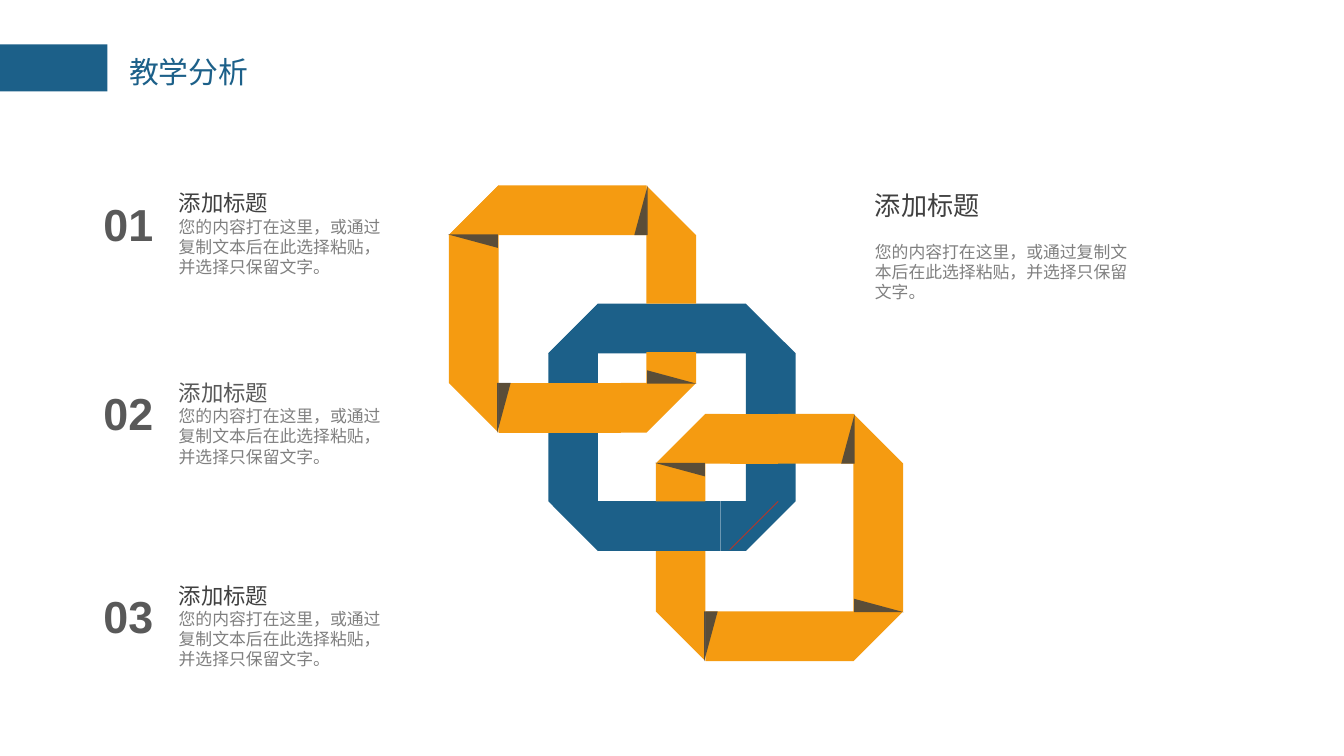
import pptx
import pptx.dml.color
import pptx.enum.shapes
import pptx.enum.text
import pptx.oxml
import pptx.oxml.ns
import pptx.util
from pptx.util import Inches

COLORS = {
    "blue": "1C6089",
    "orange": "F59B11",
    "red": "B7372A",
    "fold": "404040",
    "dark": "404040",
    "number": "595959",
    "body": "808080",
}
HEADING = "添加标题"
BODY = "您的内容打在这里，或通过复制文本后在此选择粘贴，并选择只保留文字。"
BAND, SIDE = 0.37, 1.84
FAR = SIDE - BAND
FOLD_WIDTH = 0.1


def rgb(name):
    """Return the named colour."""
    return pptx.dml.color.RGBColor.from_string(COLORS[name])


def paint(shape, color):
    """Give a shape a plain fill without line or shadow."""
    shape.shadow.inherit = False
    shape.fill.solid()
    shape.fill.fore_color.rgb = rgb(color)
    shape.line.fill.background()


def write(frame, text, size, color, font="Arial", bold=False, before=0):
    """Add one formatted paragraph to a text frame."""
    paragraph = frame.add_paragraph() if frame.text else frame.paragraphs[0]
    paragraph.alignment = pptx.enum.text.PP_ALIGN.LEFT
    if before:
        paragraph.space_before = pptx.util.Pt(before)
    run = paragraph.add_run()
    run.text = text
    run.font.size = pptx.util.Pt(size)
    run.font.name = font
    run.font.bold = bold
    run.font.color.rgb = rgb(color)


def set_frame(frame, inset, wrap):
    """Set the insets, wrapping and anchor of a text frame."""
    frame.auto_size = pptx.enum.text.MSO_AUTO_SIZE.NONE
    frame.word_wrap = wrap
    frame.vertical_anchor = pptx.enum.text.MSO_ANCHOR.TOP
    frame.margin_left = frame.margin_right = Inches(inset)
    frame.margin_top = frame.margin_bottom = Inches(0.03)


def add_frame(slide, left, top, width, height, wrap=True):
    """Add a text box and return its frame."""
    box = slide.shapes.add_textbox(Inches(left), Inches(top), Inches(width), Inches(height))
    set_frame(box.text_frame, 0.07, wrap)
    return box.text_frame


def add_header(slide, left, top, width, height):
    """Place the colour block and the slide title beside it."""
    block = slide.shapes.add_shape(
        pptx.enum.shapes.MSO_SHAPE.RECTANGLE,
        Inches(left), Inches(top), Inches(width), Inches(height))
    paint(block, "blue")
    title = slide.shapes.title
    title.left, title.top = Inches(left + width + 0.08), Inches(top + 0.04)
    title.width, title.height = Inches(1.05), Inches(height)
    set_frame(title.text_frame, 0.08, False)
    write(title.text_frame, "教学分析", 16, "blue", font="Calibri")


def add_item(slide, number, left, top, heading_color):
    """Place a number with its heading and body text."""
    words = add_frame(slide, left + 0.56, top, 1.73, 0.73)
    write(words, HEADING, 12, heading_color)
    write(words, BODY, 9, "body")
    write(add_frame(slide, left, top + 0.05, 0.52, 0.48, wrap=False),
          number, 24, "number", bold=True)


def add_summary(slide, left, top, width, height):
    """Place the larger heading and body text on the right."""
    words = add_frame(slide, left, top, width, height)
    write(words, HEADING, 14, "dark")
    write(words, BODY, 9, "body", before=11)


def rect(left, top, right, bottom):
    """Return the corners of a rectangle."""
    return [(left, top), (right, top), (right, bottom), (left, bottom)]


def top_left(right):
    """Return the top band from the cut corner to a right edge."""
    return [(BAND, 0), (right, 0), (right, BAND), (0, BAND)]


def left_upper(bottom):
    """Return the left band from the cut corner down to an edge."""
    return [(BAND, 0), (BAND, bottom), (0, bottom), (0, BAND)]


def left_lower(top):
    """Return the left band from an edge down to the cut corner."""
    return [(0, top), (BAND, top), (BAND, SIDE), (0, FAR)]


def right_lower(top, left):
    """Return the lower right elbow from a top edge to a left edge."""
    return [(FAR, top), (SIDE, top), (SIDE, FAR), (FAR, SIDE),
            (left, SIDE), (left, FAR), (FAR, FAR)]


def add_fold(slide, left, top, rotation, flip):
    """Add one translucent fold shadow."""
    fold = slide.shapes.add_shape(
        pptx.enum.shapes.MSO_SHAPE.RIGHT_TRIANGLE,
        Inches(left), Inches(top), Inches(FOLD_WIDTH), Inches(BAND))
    paint(fold, "fold")
    fold.rotation = rotation
    properties = fold._element.spPr
    properties.find(pptx.oxml.ns.qn("a:xfrm")).set(flip, "1")
    tint = properties.find(".//" + pptx.oxml.ns.qn("a:srgbClr"))
    tint.append(pptx.oxml.parse_xml(
        f'<a:alpha {pptx.oxml.ns.nsdecls("a")} val="85000"/>'))


def add_ring(slide, left, top, color, bands, folded=True):
    """Place one paper ring built from bands, with optional folds."""
    for band in bands:
        points = [(Inches(left + x), Inches(top + y)) for x, y in band]
        builder = slide.shapes.build_freeform(*points[0], scale=1.0)
        builder.add_line_segments(points[1:], close=True)
        paint(builder.convert_to_shape(), color)
    if folded:
        for x, y, rotation, flip in [
            (1.38, 0, 0, "flipH"), (1.61, 1.24, 90, "flipH"),
            (0.13, 0.23, 270, "flipH"), (0.36, FAR, 0, "flipV"),
        ]:
            add_fold(slide, left + x, top + y, rotation, flip)


def add_chain(slide, left, top):
    """Place the three interlocking rings."""
    upper = [
        left_upper(BAND), left_lower(BAND), top_left(FAR),
        [(FAR, 0), (SIDE, BAND), (SIDE, 0.88), (FAR, 0.88)],
        right_lower(1.24, 1.28),
        rect(BAND, FAR, 0.92, SIDE), rect(0.92, FAR, 1.28, SIDE),
    ]
    middle = [
        top_left(0.92), left_upper(0.6),
        [(0.92, 0), (FAR, 0), (SIDE, BAND), (SIDE, 0.82),
         (FAR, 0.82), (FAR, BAND), (0.92, BAND)],
        left_lower(0.96), right_lower(1.18, 1.28),
        rect(BAND, FAR, 0.92, SIDE), rect(0.92, FAR, 1.28, SIDE),
    ]
    lower = [
        rect(0.55, 0, 0.91, BAND), top_left(0.55), left_upper(0.65), left_lower(1.02),
        [(0.91, 0), (FAR, 0), (SIDE, BAND), (SIDE, FAR), (FAR, SIDE), (BAND, SIDE),
         (BAND, FAR), (FAR, FAR), (FAR, BAND), (0.91, BAND)],
    ]
    add_ring(slide, left + 0.74, top + 0.88, "blue", middle, folded=False)
    add_ring(slide, left + 1.54, top + 1.7, "orange", lower)
    add_ring(slide, left, top, "orange", upper)
    crease = slide.shapes.add_connector(
        pptx.enum.shapes.MSO_CONNECTOR.STRAIGHT,
        Inches(left + 2.09), Inches(top + 2.71), Inches(left + 2.45), Inches(top + 2.35))
    crease.line.color.rgb = rgb("red")
    crease.line.width = pptx.util.Pt(0.5)
    crease._element.spPr.append(pptx.oxml.parse_xml(
        f'<a:effectLst {pptx.oxml.ns.nsdecls("a")}/>'))


def main():
    """Build and save the 16:9 slide."""
    deck = pptx.Presentation()
    deck.slide_width = Inches(10)
    deck.slide_height = deck.slide_width * 9 // 16
    slide = deck.slides.add_slide(deck.slide_layouts.get_by_name("Title Only"))
    add_header(slide, 0, 0.33, 0.8, 0.35)
    add_chain(slide, 3.34, 1.38)
    for number, top, color in [("01", 1.38, "dark"), ("02", 2.79, "number"), ("03", 4.3, "dark")]:
        add_item(slide, number, 0.7, top, color)
    add_summary(slide, 6.44, 1.38, 2.1, 0.92)
    deck.save("out.pptx")


if __name__ == "__main__":
    main()
